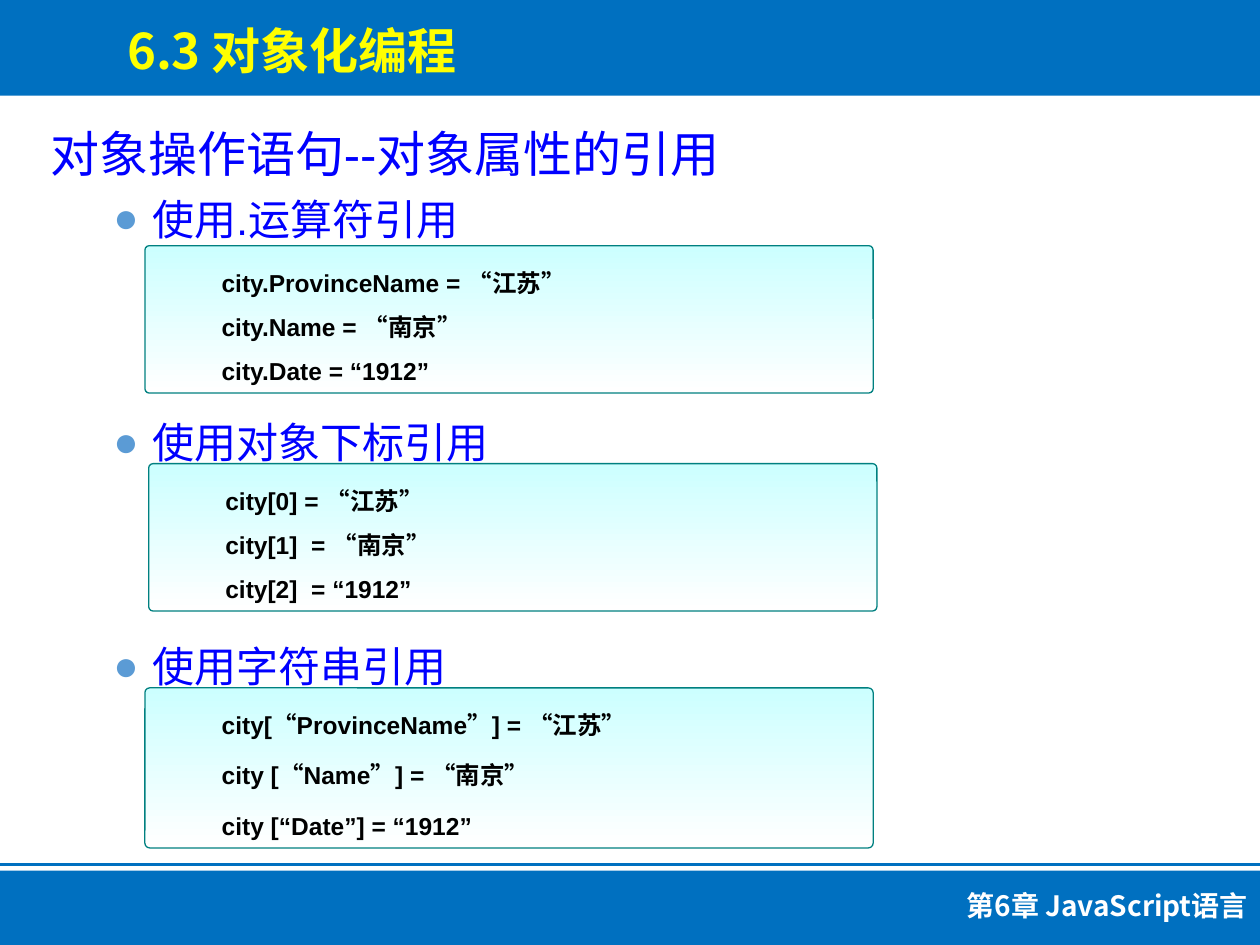
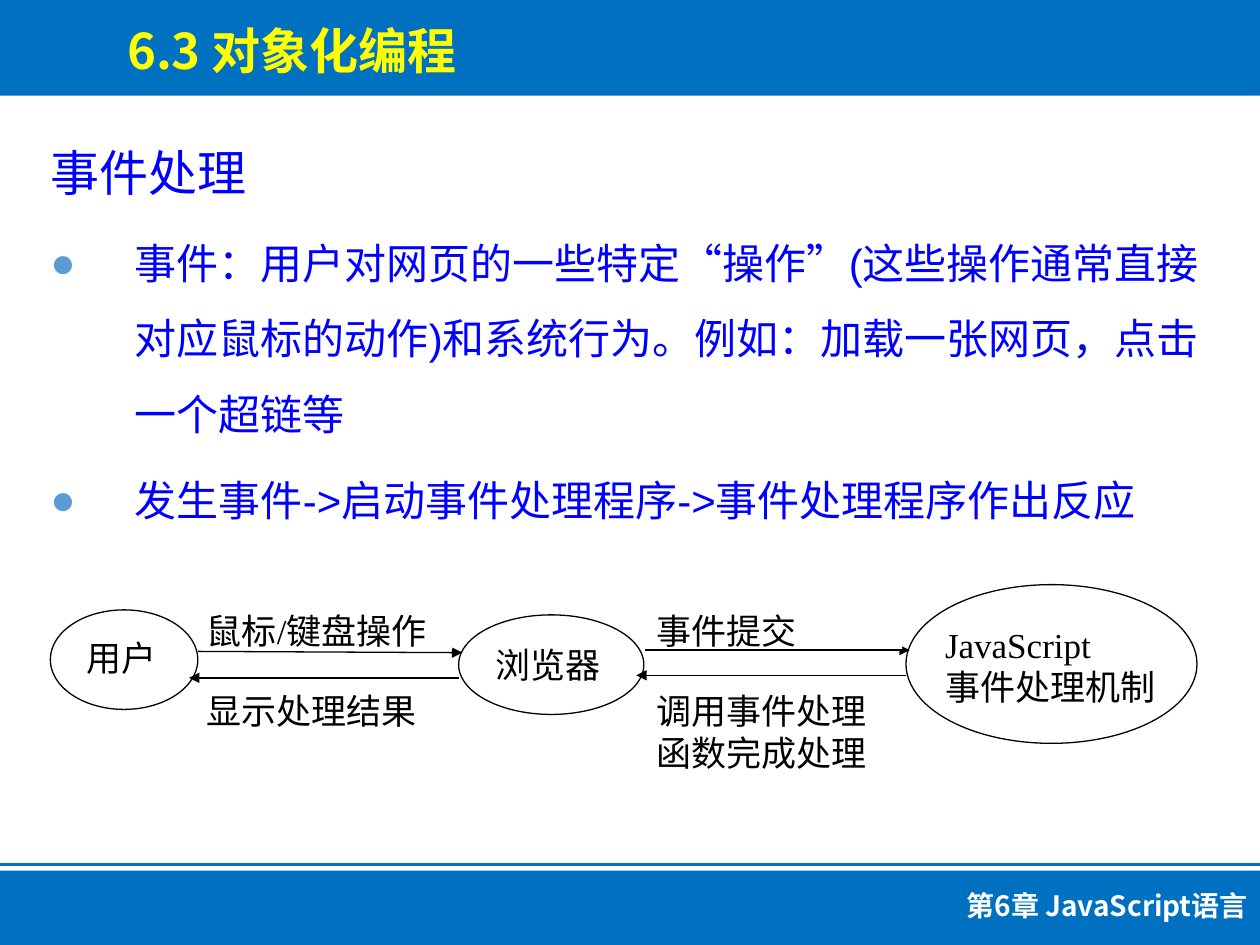
from lxml import etree
from pptx import Presentation
from pptx.dml.color import RGBColor
from pptx.enum.shapes import MSO_CONNECTOR, MSO_SHAPE
from pptx.enum.text import MSO_ANCHOR, MSO_AUTO_SIZE, PP_ALIGN
from pptx.oxml.ns import qn
from pptx.util import Inches, Pt

RECT, ROUND, OVAL = MSO_SHAPE.RECTANGLE, MSO_SHAPE.ROUNDED_RECTANGLE, MSO_SHAPE.OVAL
LEFT, RIGHT = PP_ALIGN.LEFT, PP_ALIGN.RIGHT

BAND, GOLD, BLUE, DOT = "0070C0", "FFFF00", "0000FF", "5B9BD5"
AQUA, TEAL, WHITE, BLACK = "CCFFFF", "008080", "FFFFFF", "000000"
SANS, SERIF, HAN = "Arial", "Times New Roman", "Noto Sans CJK SC"
SINGLE, LOOSE, TALL = 1.2, 1.8, 1.3  # line pitch in ems

TITLE = "6.3 对象化编程"
FOOTER = "第6章 JavaScript语言"

REF_HEAD = "对象操作语句--对象属性的引用"
REF_WAYS = ["使用.运算符引用", "使用对象下标引用", "使用字符串引用"]
# left, top, height, space between lines, code
CODES = [
    (1.15, 1.95, 1.17, 0, ["city.ProvinceName = “江苏”", "city.Name = “南京”",
                           "city.Date = “1912”"]),
    (1.18, 3.68, 1.17, 0, ["city[0] = “江苏”", "city[1]  = “南京”",
                           "city[2]  = “1912”"]),
    (1.15, 5.46, 1.27, 3.5, ["city[“ProvinceName”] = “江苏”", "city [“Name”] = “南京”",
                             "city [“Date”] = “1912”"]),
]

EVENT_HEAD = "事件处理"
EVENTS = [
    "事件：用户对网页的一些特定“操作”(这些操作通常直接对应鼠标的动作)和系统行为。"
    "例如：加载一张网页，点击一个超链等",
    "发生事件->启动事件处理程序->事件处理程序作出反应",
]
# oval box, label box, label lines
NODES = [
    ((0.4, 4.84, 1.17, 0.79), (0.69, 5.05, 0.74, 0.37), ["用户"]),
    ((3.64, 4.88, 1.47, 0.79), (3.93, 5.11, 0.84, 0.31), ["浏览器"]),
    ((7.19, 4.64, 2.31, 1.26), (7.5, 4.95, 1.68, 0.63), ["JavaScript", "事件处理机制"]),
]
# left, top, lines
LABELS = [
    (1.64, 4.84, ["鼠标/键盘操作"]),
    (1.64, 5.47, ["显示处理结果"]),
    (5.21, 4.84, ["事件提交"]),
    (5.21, 5.47, ["调用事件处理", "函数完成处理"]),
]
ARROWS = [
    ((1.57, 5.17), (3.67, 5.18)),
    ((3.64, 5.38), (1.5, 5.38)),
    ((5.12, 5.16), (7.22, 5.16)),
    ((7.19, 5.36), (5.05, 5.36)),
]


def rgb(code):
    return RGBColor.from_string(code)


def place(shape, box):
    shape.left, shape.top, shape.width, shape.height = map(Inches, box)


def set_frame(frame, inset=(0.1, 0.05)):
    frame.word_wrap = True
    frame.auto_size = MSO_AUTO_SIZE.NONE
    frame.vertical_anchor = MSO_ANCHOR.TOP
    frame.margin_left = frame.margin_right = Inches(inset[0])
    frame.margin_top = frame.margin_bottom = Inches(inset[1])


def style(para, size, color, font=SANS, bold=False, pitch=SINGLE, before=0, align=LEFT):
    para.alignment = align
    para.line_spacing = Pt(round(size * pitch, 1))
    para.space_before = Pt(before)
    for run in para.runs:
        face = run.font
        face.size, face.bold, face.name = Pt(size), bold, font
        face.color.rgb = rgb(color)
        east = etree.SubElement(run._r.get_or_add_rPr(), qn("a:ea"))
        east.set("typeface", HAN)


def indent(para, left, first, dot=False):
    """Set the left margin and first-line indent, with or without a dot."""
    props = para._p.get_or_add_pPr()
    props.set("marL", str(Inches(left)))
    props.set("indent", str(Inches(first)))
    if dot:
        tint = etree.SubElement(props, qn("a:buClr"))
        etree.SubElement(tint, qn("a:srgbClr")).set("val", DOT)
        etree.SubElement(props, qn("a:buFont")).set("typeface", SANS)
        etree.SubElement(props, qn("a:buChar")).set("char", "●")
    else:
        etree.SubElement(props, qn("a:buNone"))


def add_box(slide, kind, box, fill=None, line=None):
    shape = slide.shapes.add_shape(kind, *map(Inches, box))
    shape.shadow.inherit = False
    if fill:
        shape.fill.solid()
        shape.fill.fore_color.rgb = rgb(fill)
    if line:
        shape.line.color.rgb = rgb(line)
        shape.line.width = Pt(0.75)
    else:
        shape.line.fill.background()
    return shape


def add_line(slide, start, end, color, width, arrow=False):
    link = slide.shapes.add_connector(MSO_CONNECTOR.STRAIGHT, *map(Inches, start + end))
    link.line.color.rgb = rgb(color)
    link.line.width = Pt(width)
    if arrow:
        etree.SubElement(link.line._get_or_add_ln(), qn("a:tailEnd")).set("type", "triangle")
    etree.SubElement(link._element.spPr, qn("a:effectLst"))


def add_label(slide, box, lines):
    shape = add_box(slide, RECT, box, WHITE)
    frame = shape.text_frame
    set_frame(frame, (0, 0))
    frame.text = "\n".join(lines)
    for para in frame.paragraphs:
        style(para, 20, BLACK, SERIF)


def add_code(slide, left, top, height, gap, lines):
    shape = add_box(slide, ROUND, (left, top, 5.78, height), line=TEAL)
    shape.adjustments[0] = 0.03
    shape.fill.gradient()
    shape.fill.gradient_angle = 270
    for stop, color in zip(shape.fill.gradient_stops, (AQUA, WHITE)):
        stop.color.rgb = rgb(color)
    frame = shape.text_frame
    set_frame(frame)
    frame.text = "\n".join(lines)
    for row, para in enumerate(frame.paragraphs):
        indent(para, 0.5, 0)
        style(para, 14, BLACK, bold=True, pitch=LOOSE, before=gap if row else 0)


def add_slide(deck):
    """Add a slide with the shared bands, title and footer."""
    slide = deck.slides.add_slide(deck.slide_layouts[1])
    add_line(slide, (0, 6.86), (10, 6.86), BAND, 2)
    add_box(slide, RECT, (0, 6.91, 10, 0.62), BAND)
    add_box(slide, RECT, (0, 0, 10, 0.76), BAND)

    foot = slide.shapes.add_textbox(*map(Inches, (5.29, 6.98, 4.71, 0.37)))
    title = slide.shapes.title
    place(title, (0.91, 0.07, 5.5, 0.57))
    slide.shapes._spTree.append(title._element)  # lift above the band
    for shape, text, size, color, align in (
        (foot, FOOTER, 16, WHITE, RIGHT),
        (title, TITLE, 28, GOLD, LEFT),
    ):
        set_frame(shape.text_frame)
        shape.text_frame.text = text
        style(shape.text_frame.paragraphs[0], size, color, HAN, True, TALL, align=align)
    return slide


def fill_body(slide, top, head, items):
    """Write the heading and items; return the item paragraphs."""
    body = slide.placeholders[1]
    place(body, (0.3, top, 9.42, 5.42))
    frame = body.text_frame
    set_frame(frame, (0.1, 0.08))
    frame.text = "\n".join([head] + items)
    first, *rest = frame.paragraphs
    indent(first, 0, 0)
    style(first, 28, BLUE, pitch=LOOSE)
    return rest


def add_refs(deck):
    slide = add_slide(deck)
    for row, para in enumerate(fill_body(slide, 0.67, REF_HEAD, REF_WAYS)):
        para.level = 1
        indent(para, 0.81, -0.31, dot=True)
        style(para, 24, BLUE, before=99 if row else 6)
    for code in reversed(CODES):
        add_code(slide, *code)


def add_events(deck):
    slide = add_slide(deck)
    for para in fill_body(slide, 0.82, EVENT_HEAD, EVENTS):
        indent(para, 0.67, -0.67, dot=True)
        style(para, 24, BLUE, pitch=LOOSE, before=6)
    for oval, box, lines in NODES:
        add_box(slide, OVAL, oval, WHITE, BLACK)
        add_label(slide, box, lines)
    for start, end in ARROWS:
        add_line(slide, start, end, BLACK, 0.75, arrow=True)
    for left, top, lines in LABELS:
        add_label(slide, (left, top, 1.95, 0.31 * len(lines)), lines)


def main():
    deck = Presentation()
    deck.slide_width, deck.slide_height = Inches(10), Inches(7.5)
    add_refs(deck)
    add_events(deck)
    deck.save("out.pptx")


if __name__ == "__main__":
    main()
